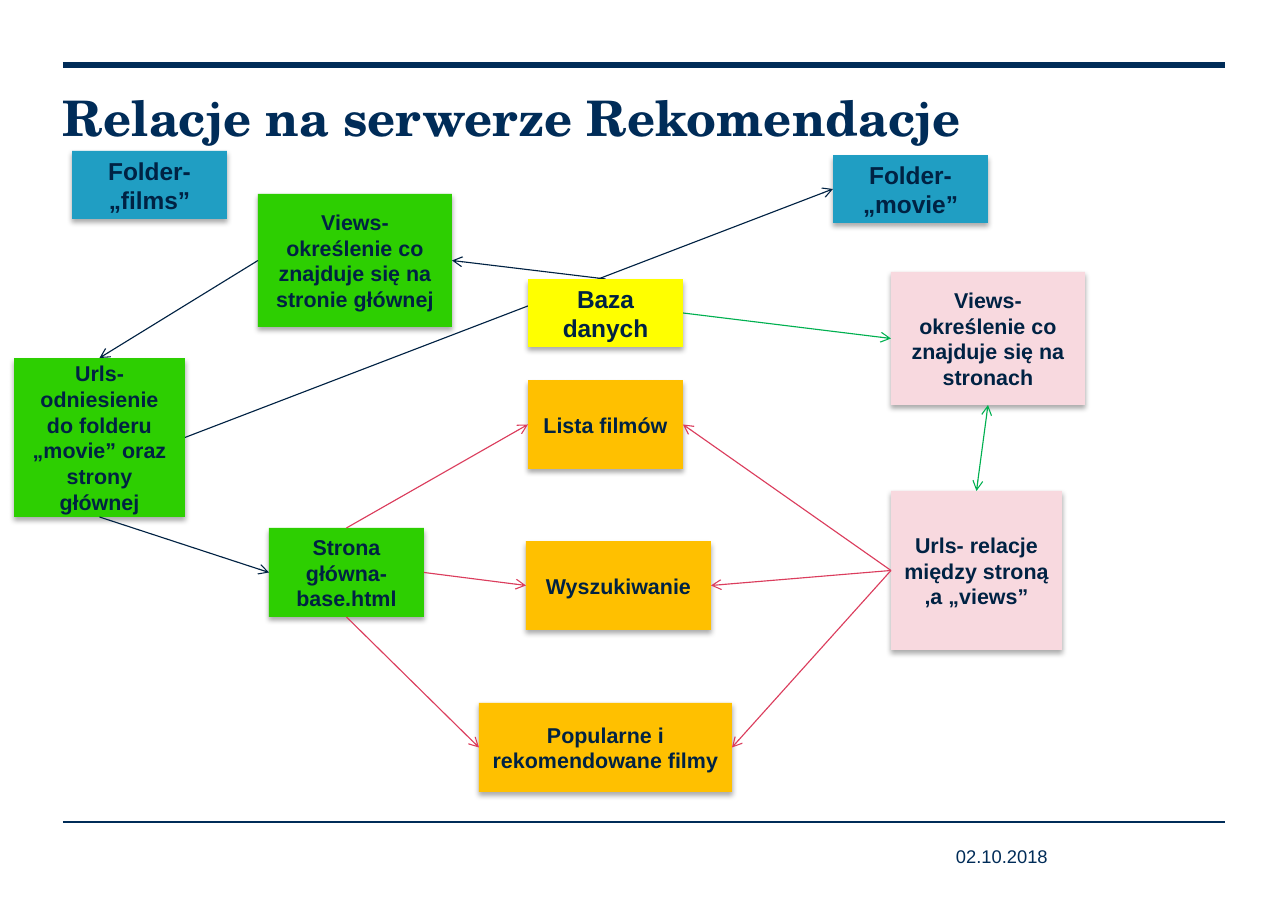
from lxml import etree
from pptx import Presentation
from pptx.dml.color import RGBColor
from pptx.enum.shapes import MSO_CONNECTOR as CONN, MSO_SHAPE as SHAPE
from pptx.enum.text import MSO_ANCHOR as ANCHOR, PP_ALIGN as ALIGN
from pptx.oxml import parse_xml
from pptx.oxml.ns import qn
from pptx.util import Pt

PX = 914400 / 110.2  # EMU per pixel
WIDTH, HEIGHT = 1288, 911

NAVY = RGBColor(0x00, 0x2C, 0x58)
INK = RGBColor(0x00, 0x22, 0x43)
BLUE = RGBColor(0x20, 0x9E, 0xC3)
GREEN = RGBColor(0x2D, 0xCF, 0x01)
YELLOW = RGBColor(0xFF, 0xFF, 0x00)
ORANGE = RGBColor(0xFF, 0xC0, 0x00)
PINK = RGBColor(0xF8, 0xD9, 0xDF)
RED = RGBColor(0xDB, 0x3D, 0x5D)
LEAF = RGBColor(0x00, 0xB0, 0x50)

SHADOW = (
    '<a:effectLst xmlns:a="http://schemas.openxmlformats.org/drawingml/2006/main">'
    '<a:outerShdw blurRad="44450" dist="27940" dir="5400000" rotWithShape="0">'
    '<a:srgbClr val="000000"><a:alpha val="32000"/></a:srgbClr>'
    '</a:outerShdw></a:effectLst>')

# Connection sites of a rectangle
TOP, LEFT, BOTTOM, RIGHT = range(4)

# Box kinds: width, height, text size
FOLDER, PAGE = (155, 68, 16), (155, 89, 14)
VIEWS, URLS = (194, 133, 14), (171, 159, 14)
SEARCH, POPULAR = (185, 89, 14), (253, 89, 14)

# Name: left, top, kind, fill, text
BOXES = {
    "films": (58, 0, FOLDER, BLUE, "Folder- „films”"),
    "movie": (819, 4, FOLDER, BLUE, "Folder- „movie”"),
    "main_views": (244, 43, VIEWS, GREEN,
                   "Views- określenie co znajduje się na stronie głównej"),
    "main_urls": (0, 207, URLS, GREEN,
                  "Urls- odniesienie do folderu „movie” oraz strony głównej"),
    "base": (255, 377, PAGE, GREEN, "Strona główna- base.html"),
    "database": (514, 128, FOLDER, YELLOW, "Baza danych"),
    "list": (514, 229, PAGE, ORANGE, "Lista filmów"),
    "search": (512, 390, SEARCH, ORANGE, "Wyszukiwanie"),
    "popular": (465, 552, POPULAR, ORANGE, "Popularne i rekomendowane filmy"),
    "page_views": (877, 121, VIEWS, PINK,
                   "Views- określenie co znajduje się na stronach"),
    "page_urls": (877, 340, URLS, PINK, "Urls- relacje między stroną ,a „views”"),
}

# From, site, to, site, colour, arrowhead ends
LINKS = [
    ("main_views", LEFT, "main_urls", TOP, INK, ["tail"]),
    ("main_urls", BOTTOM, "base", LEFT, INK, ["tail"]),
    ("main_urls", RIGHT, "movie", LEFT, INK, ["tail"]),
    ("database", TOP, "main_views", RIGHT, INK, ["tail"]),
    ("base", TOP, "list", LEFT, RED, ["tail"]),
    ("base", RIGHT, "search", LEFT, RED, ["tail"]),
    ("base", BOTTOM, "popular", LEFT, RED, ["tail"]),
    ("page_views", BOTTOM, "page_urls", TOP, LEAF, ["head", "tail"]),
    ("page_urls", LEFT, "list", RIGHT, RED, ["tail"]),
    ("page_urls", LEFT, "search", RIGHT, RED, ["tail"]),
    ("page_urls", LEFT, "popular", RIGHT, RED, ["tail"]),
    ("database", RIGHT, "page_views", LEFT, LEAF, ["tail"]),
]


def emu(*lengths):
    return [round(n * PX) for n in lengths]


def set_text(sp, text, size=14, font="Arial", color=INK, bold=False,
             align=ALIGN.LEFT, anchor=ANCHOR.TOP, margin=None, spacing=None):
    tf = sp.text_frame
    tf.word_wrap = True
    tf.vertical_anchor = anchor
    if margin is not None:
        tf.margin_left = tf.margin_right = tf.margin_top = tf.margin_bottom = margin
    p = tf.paragraphs[0]
    p.alignment = align
    p.line_spacing = spacing
    r = p.add_run()
    r.text = text
    r.font.size, r.font.name, r.font.bold = Pt(size), font, bold
    r.font.color.rgb = color


def add_line(s, x1, y1, x2, y2, color, width=0.75, ends=()):
    line = s.shapes.add_connector(CONN.STRAIGHT, *emu(x1, y1, x2, y2))
    line.line.color.rgb = color
    line.line.width = Pt(width)
    ln = line.line._get_or_add_ln()
    for end in ends:
        etree.SubElement(ln, qn(f"a:{end}End"), type="arrow")
    etree.SubElement(line._element.spPr, qn("a:effectLst"))
    return line


def add_box(s, x, y, kind, fill, text):
    w, h, size = kind
    sp = s.shapes.add_shape(SHAPE.RECTANGLE, *emu(x, y, w, h))
    sp.fill.solid()
    sp.fill.fore_color.rgb = fill
    sp.line.fill.background()
    sp._element.spPr.append(parse_xml(SHADOW))
    set_text(sp, text, size=size, bold=True, align=ALIGN.CENTER, anchor=ANCHOR.MIDDLE)
    return sp


def add_header(s, x, y, w, h):
    add_line(s, x, y, x + w, y, NAVY, width=4)
    title = s.shapes.add_textbox(*emu(x, y + 29, w, h - 29))
    set_text(title, "Relacje na serwerze Rekomendacje", size=32,
             font="TeX Gyre Schola", color=NAVY, bold=True, margin=0, spacing=0.9)


def add_diagram(s, x, y):
    boxes = {name: add_box(s, x + left, y + top, *rest)
             for name, (left, top, *rest) in BOXES.items()}
    for start, start_site, end, end_site, color, ends in LINKS:
        link = add_line(s, x, y, x, y, color, ends=ends)
        link.begin_connect(boxes[start], start_site)
        link.end_connect(boxes[end], end_site)
    # The database covers the line that runs behind it
    s.shapes._spTree.append(boxes["database"]._element)


def add_footer(s, x, y, w):
    add_line(s, x, y, x + w, y, NAVY)
    date = s.shapes.add_textbox(*emu(x + 893, y + 23, 137, 22))
    set_text(date, "02.10.2018", size=12, color=NAVY, margin=0)


prs = Presentation()
prs.slide_width, prs.slide_height = emu(WIDTH, HEIGHT)
s = prs.slides.add_slide(prs.slide_layouts[6])
add_header(s, 63, 65, 1162, 82)
add_diagram(s, 14, 151)
add_footer(s, 63, 822, 1162)
prs.save("out.pptx")
